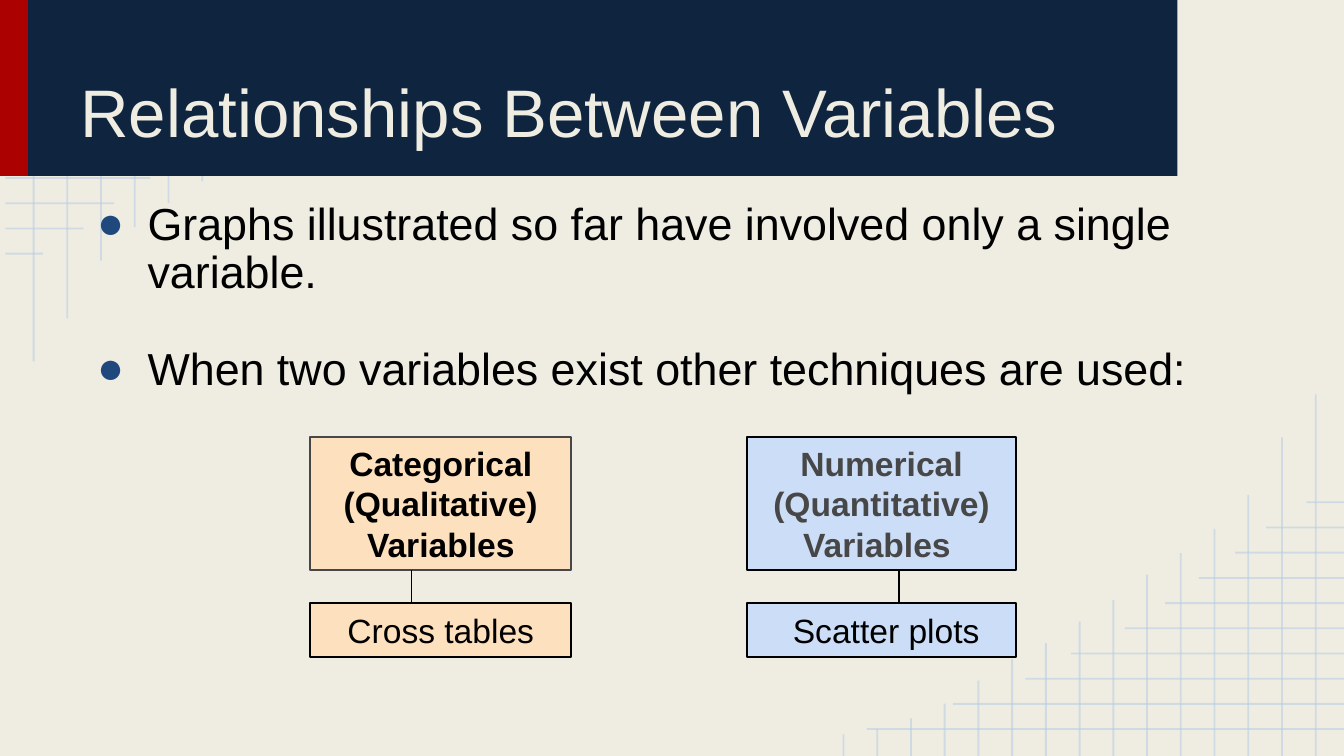
"""Build a slide on techniques for relationships between variables."""
from typing import NamedTuple

from lxml.etree import SubElement
from pptx import Presentation
from pptx.dml.color import RGBColor
from pptx.enum.shapes import MSO_CONNECTOR, MSO_SHAPE
from pptx.enum.text import MSO_ANCHOR, MSO_AUTO_SIZE, PP_ALIGN
from pptx.oxml.ns import qn
from pptx.util import Pt

SCALE = 9144
WIDTH, HEIGHT = 1000, 562.5
HEADER_BOTTOM = 131
GRID_START = 4
GRID_BLUE = "B7CCE4"
BLACK = "000000"
CREAM = "EFEDE2"
BULLET_BLUE = "1F497D"
ROW_REACH = [359, 295, 241, 207, 167, 137, 112, 85, 62, 32]
COLUMN_REACH = [269, 237, 194, 169, 151, 135, 116, 100, 84, 72, 56, 39, 28, 20, 16]


class Area(NamedTuple):
    left: int
    top: int
    width: int
    height: int


class Branch(NamedTuple):
    left: int
    width: int
    fill: str
    outline: str
    ink: str
    heading: str
    technique: str
    link_x: int


BRANCHES = [
    Branch(231, 194, "FDE0BD", "474747", BLACK,
           "Categorical\n(Qualitative)\nVariables", "Cross tables", 306),
    Branch(556, 200, "CBDDF7", BLACK, "474747",
           "Numerical\n(Quantitative)\nVariables ", " Scatter plots", 669),
]


def px(length: float) -> int:
    return round(length * SCALE)


def color(value: str) -> RGBColor:
    return RGBColor.from_string(value)


def style_text(frame, size: int, ink: str, bold: bool = False) -> None:
    for paragraph in frame.paragraphs:
        for span in paragraph.runs:
            span.font.name, span.font.size, span.font.bold = "Arial", Pt(size), bold
            span.font.color.rgb = color(ink)


def add_line(page, start: tuple, end: tuple, ink: str, weight: float, alpha: int = 100) -> None:
    line = page.shapes.add_connector(
        MSO_CONNECTOR.STRAIGHT, *map(px, start), *map(px, end))
    line.line.color.rgb = color(ink)
    line.line.width = Pt(weight)
    properties = line._element.spPr
    if alpha < 100:
        fill = properties.find(".//" + qn("a:srgbClr"))
        SubElement(fill, qn("a:alpha"), val=str(alpha * 1000))
    SubElement(properties, qn("a:effectLst"))


def add_grids(page) -> None:
    rows = [((GRID_START, 20 + 18.75 * index), (reach, 20 + 18.75 * index))
            for index, reach in enumerate(ROW_REACH)]
    columns = [((25 + 25.1 * index, reach), (25 + 25.1 * index, 0))
               for index, reach in enumerate(COLUMN_REACH)]
    for start, end in rows + columns:
        if max(start[1], end[1]) > HEADER_BOTTOM:
            add_line(page, start, end, GRID_BLUE, 1, 54)
        turned = [(WIDTH + GRID_START - x, HEIGHT - y) for x, y in (start, end)]
        add_line(page, *turned, GRID_BLUE, 1, 54)


def add_rectangle(page, area: Area, fill: str, outline: str = ""):
    box = page.shapes.add_shape(MSO_SHAPE.RECTANGLE, *map(px, area))
    box.shadow.inherit = False
    box.fill.solid()
    box.fill.fore_color.rgb = color(fill)
    if outline:
        box.line.color.rgb = color(outline)
        box.line.width = Pt(1)
    else:
        box.line.fill.background()
    return box


def add_label(page, area: Area, fill: str, outline: str, text: str,
              ink: str, bold: bool = False) -> None:
    frame = add_rectangle(page, area, fill, outline).text_frame
    frame.text = text
    frame.word_wrap = not bold
    frame.vertical_anchor = MSO_ANCHOR.MIDDLE if bold else MSO_ANCHOR.TOP
    for paragraph in frame.paragraphs:
        paragraph.alignment = PP_ALIGN.CENTER
    style_text(frame, 18, ink, bold)


def add_text(page, area: Area, text: str, size: int, ink: str, anchor):
    frame = page.shapes.add_textbox(*map(px, area)).text_frame
    frame.word_wrap = True
    frame.auto_size = MSO_AUTO_SIZE.NONE
    frame.vertical_anchor = anchor
    frame.margin_left = frame.margin_right = px(10)
    frame.margin_top = frame.margin_bottom = px(10)
    frame.text = text
    style_text(frame, size, ink)
    return frame


def add_bullets(page, area: Area, items: list[str]) -> None:
    frame = add_text(page, area, "\n".join(items), 24, BLACK, MSO_ANCHOR.TOP)
    for index, paragraph in enumerate(frame.paragraphs):
        paragraph.line_spacing = 0.9
        if index:
            paragraph.space_before = Pt(26)
        properties = paragraph._p.get_or_add_pPr()
        properties.set("marL", str(px(50)))
        properties.set("indent", str(px(-37.5)))
        bullet_color = SubElement(properties, qn("a:buClr"))
        SubElement(bullet_color, qn("a:srgbClr"), val=BULLET_BLUE)
        SubElement(properties, qn("a:buFont"), typeface="Arial")
        SubElement(properties, qn("a:buChar"), char="●")


def add_branch(page, branch: Branch) -> None:
    add_label(page, Area(branch.left, 325, branch.width, 99), branch.fill,
              branch.outline, branch.heading, branch.ink, True)
    add_label(page, Area(branch.left, 449, branch.width, 40), branch.fill,
              BLACK, branch.technique, BLACK)
    add_line(page, (branch.link_x, 424), (branch.link_x, 449), BLACK, 0.75)


def main() -> None:
    deck = Presentation()
    deck.slide_width, deck.slide_height = px(WIDTH), px(HEIGHT)
    page = deck.slides.add_slide(deck.slide_layouts[6])
    page.background.fill.solid()
    page.background.fill.fore_color.rgb = color(CREAM)
    add_grids(page)
    add_rectangle(page, Area(0, 0, 21, HEADER_BOTTOM), "AB0101")
    add_rectangle(page, Area(21, 0, 855, HEADER_BOTTOM), "0F243E")
    add_text(page, Area(50, 11, 800, 111), "Relationships Between Variables",
             36, CREAM, MSO_ANCHOR.BOTTOM)
    add_bullets(page, Area(50, 140, 900, 397), [
        "Graphs illustrated so far have involved only a single variable.",
        "When two variables exist other techniques are used:",
    ])
    for branch in BRANCHES:
        add_branch(page, branch)
    deck.save("out.pptx")


if __name__ == "__main__":
    main()
